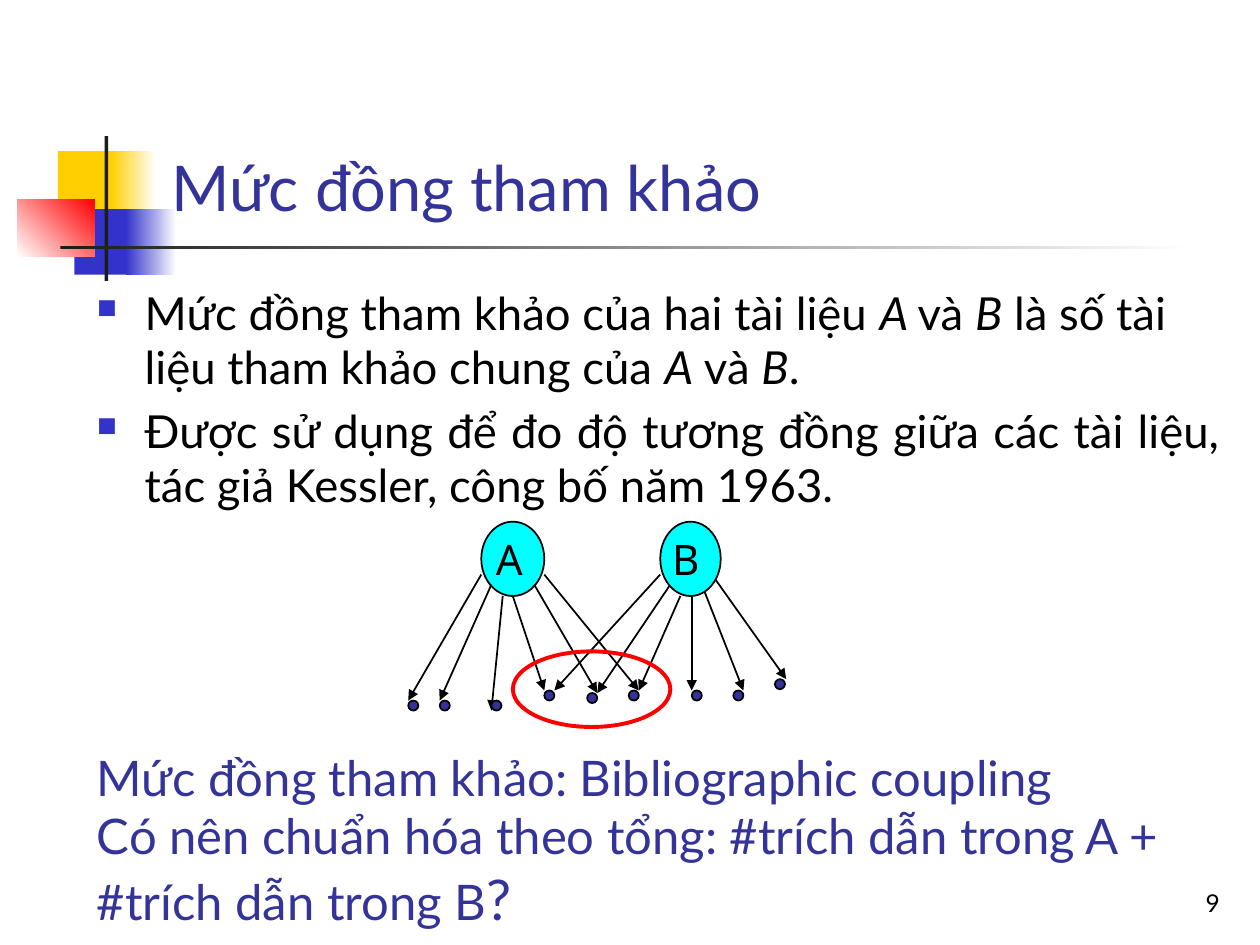
"""Build a slide on bibliographic coupling between two documents."""
import pptx
import pptx.dml.color
import pptx.enum.shapes
import pptx.enum.text
import pptx.oxml
import pptx.oxml.ns
import pptx.util
from lxml import etree

Inches = pptx.util.Inches
Pt = pptx.util.Pt
ALIGN = pptx.enum.text.PP_ALIGN
ANCHOR = pptx.enum.text.MSO_ANCHOR
KIND = pptx.enum.shapes.MSO_SHAPE
qn = pptx.oxml.ns.qn

INK, BLACK, BLUE, GOLD, DARK = "333399", "000000", "3333CC", "FFCF01", "1C1C1C"
WHITE, RED, CYAN = "FFFFFF", "FF0000", "00FFFF"


def color(code):
    return pptx.dml.color.RGBColor.from_string(code)


class Deck:
    def __init__(self, font="Lato"):
        self.font = font
        self.show = pptx.Presentation()
        self.show.slide_width, self.show.slide_height = Inches(10), Inches(7.5)
        self.slide = self.show.slides.add_slide(self.show.slide_layouts[5])

    def style(self, para, size, code, font=None):
        for run in para.runs:
            run.font.size = Pt(size)
            run.font.name = font or self.font
            run.font.color.rgb = color(code)

    def shape(self, kind, box, fill=None, line=None, width=1):
        item = self.slide.shapes.add_shape(kind, *map(Inches, box))
        item.shadow.inherit = False
        if fill:
            item.fill.solid()
            item.fill.fore_color.rgb = color(fill)
        else:
            item.fill.background()
        if line:
            item.line.color.rgb = color(line)
            item.line.width = Pt(width)
        else:
            item.line.fill.background()
        return item

    def fade(self, box, start, end, angle=0):
        item = self.shape(KIND.RECTANGLE, box)
        item.fill.gradient()
        item.fill.gradient_angle = angle
        for stop, code, place in zip(item.fill.gradient_stops, (start, end), (0, 1)):
            stop.color.rgb = color(code)
            stop.position = place

    def arrow(self, start, end):
        kind = pptx.enum.shapes.MSO_CONNECTOR.STRAIGHT
        item = self.slide.shapes.add_connector(kind, *map(Inches, start + end))
        item.line.color.rgb = color(BLACK)
        item.line.width = Pt(1)
        etree.SubElement(item.line._get_or_add_ln(), qn("a:tailEnd"), type="triangle")
        etree.SubElement(item._element.spPr, qn("a:effectLst"))

    def node(self, box, label):
        item = self.shape(KIND.OVAL, box, CYAN, BLACK)
        frame = item.text_frame
        frame.word_wrap = False
        frame.vertical_anchor = ANCHOR.MIDDLE
        frame.text = label
        frame.paragraphs[0].alignment = ALIGN.RIGHT
        self.style(frame.paragraphs[0], 24, BLACK, "Noto Sans")

    def title(self, box, text):
        item = self.slide.shapes.title
        item.left, item.top, item.width, item.height = map(Inches, box)
        frame = item.text_frame
        frame.text = text
        frame.vertical_anchor = ANCHOR.BOTTOM
        frame.paragraphs[0].alignment = ALIGN.LEFT
        self.style(frame.paragraphs[0], 36, INK)

    def text(self, box, text, size, code, align=ALIGN.LEFT, anchor=ANCHOR.TOP):
        frame = self.slide.shapes.add_textbox(*map(Inches, box)).text_frame
        frame.word_wrap = True
        frame.vertical_anchor = anchor
        frame.text = text
        for para in frame.paragraphs:
            para.alignment = align
            self.style(para, size, code)
        return frame

    def bullet(self, para):
        para.space_before = Pt(5.2)
        props = para._p.get_or_add_pPr()
        props.set("marL", str(Inches(0.38)))
        props.set("indent", str(-Inches(0.38)))
        tint = etree.SubElement(props, qn("a:buClr"))
        etree.SubElement(tint, qn("a:srgbClr"), val=BLUE)
        etree.SubElement(props, qn("a:buSzPct"), val="60000")
        etree.SubElement(props, qn("a:buChar"), char="■")

    def points(self, box, items):
        frame = self.text(box, "\n".join("" for _ in items), 26, BLACK)
        for para, (align, parts) in zip(frame.paragraphs, items):
            para.alignment = align
            for i, part in enumerate(parts):
                run = para.add_run()
                run.text = part
                run.font.italic = i % 2 == 1
            self.style(para, 26, BLACK)
            self.bullet(para)


def frame(deck):
    deck.shape(KIND.RECTANGLE, (0.46, 1.2, 0.48, 0.52), GOLD)
    deck.fade((0.88, 1.2, 0.36, 0.52), GOLD, WHITE)
    deck.shape(KIND.RECTANGLE, (0.59, 1.66, 0.46, 0.52), BLUE)
    deck.fade((1, 1.66, 0.4, 0.52), BLUE, WHITE)
    deck.fade((0.14, 1.58, 0.61, 0.46), WHITE, RED, 45)
    deck.shape(KIND.RECTANGLE, (0.83, 1.08, 0.03, 1.15), DARK)
    deck.fade((0.48, 1.95, 9, 0.03), DARK, WHITE)


def graph(deck):
    links = [
        ((3.82, 4.56), (3.24, 5.56)), ((3.9, 4.64), (3.49, 5.56)),
        ((3.99, 4.73), (3.9, 5.64)), ((4.07, 4.73), (4.32, 5.48)),
        ((4.24, 4.64), (4.74, 5.5)), ((4.32, 4.56), (5.07, 5.48)),
        ((5.24, 4.56), (4.4, 5.48)), ((5.32, 4.64), (4.74, 5.5)),
        ((5.4, 4.73), (5.07, 5.48)), ((5.49, 4.73), (5.49, 5.48)),
        ((5.57, 4.64), (5.9, 5.48)), ((5.65, 4.56), (6.24, 5.39)),
    ]
    dots = [(3.24, 5.56), (3.49, 5.56), (3.9, 5.56), (4.32, 5.48), (4.66, 5.5),
            (4.99, 5.48), (5.49, 5.48), (5.82, 5.48), (6.15, 5.39)]
    deck.node((3.82, 4.14, 0.5, 0.59), "A")
    for start, end in links:
        deck.arrow(start, end)
    deck.shape(KIND.OVAL, (4.07, 5.17, 1.25, 0.6), None, RED, 2.25)
    deck.node((5.24, 4.14, 0.48, 0.59), "B")
    for left, top in dots:
        deck.shape(KIND.OVAL, (left, top, 0.08, 0.08), INK, BLACK)


def main():
    deck = Deck()
    frame(deck)
    deck.text((7.7, 6.83, 2.08, 0.5), "9", 14, BLACK, ALIGN.RIGHT, ANCHOR.BOTTOM)
    deck.title((1.26, 0.23, 8.52, 1.6), "Mức đồng tham khảo")
    deck.points((0.67, 2.21, 9.12, 2.02), [
        (ALIGN.LEFT, ["Mức đồng tham khảo của hai tài liệu ", "A ", "và ", "B",
                      " là số tài liệu tham khảo chung của ", "A", " và ", "B", "."]),
        (ALIGN.JUSTIFY, ["Được sử dụng để đo độ tương đồng giữa các tài liệu, "
                         "tác giả Kessler, công bố năm 1963."]),
    ])
    graph(deck)
    note = deck.text((0.67, 5.88, 9.11, 1.58),
                     "Mức đồng tham khảo: Bibliographic coupling\n"
                     "Có nên chuẩn hóa theo tổng: #trích dẫn trong A + "
                     "#trích dẫn trong B", 28, INK)
    last = note.paragraphs[-1].add_run()
    last.text = "?"
    last.font.size = Pt(32)
    last.font.name = deck.font
    last.font.color.rgb = color(INK)
    deck.show.save("out.pptx")


if __name__ == "__main__":
    main()
